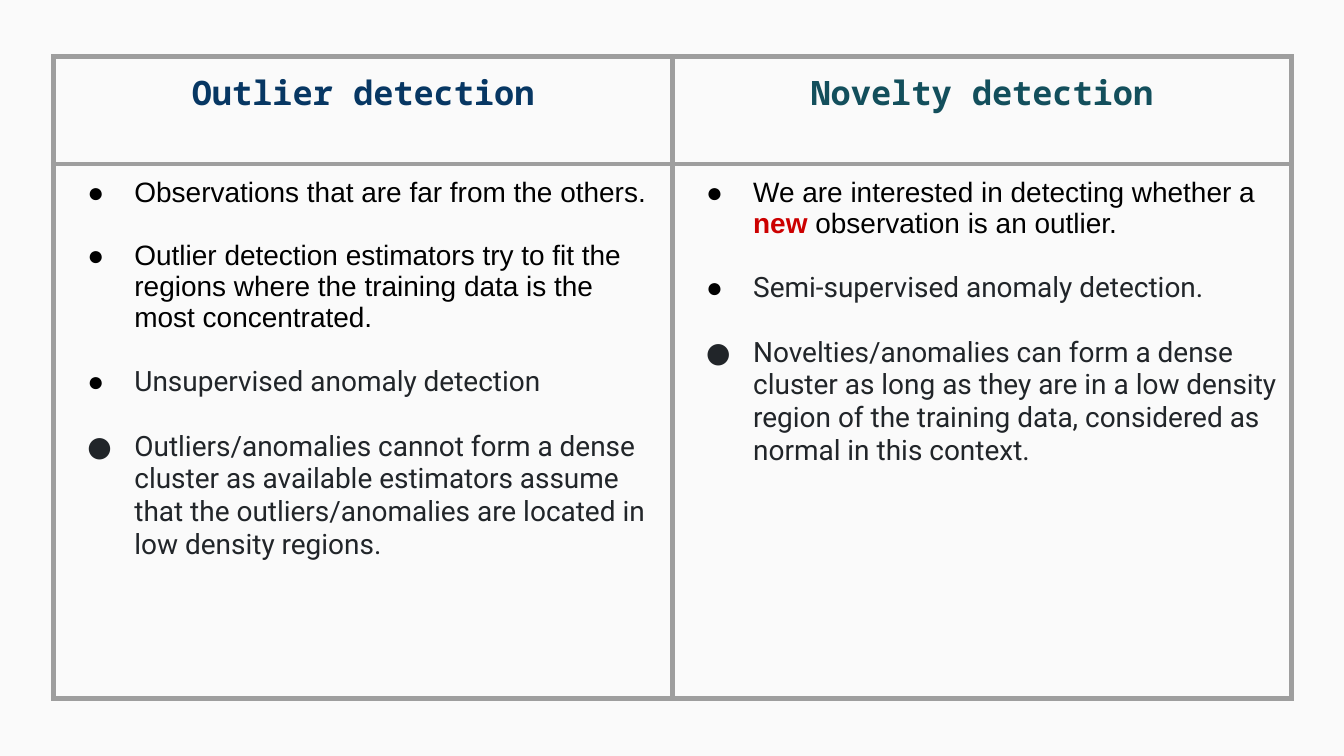
from lxml.etree import SubElement
from pptx import Presentation
from pptx.dml.color import RGBColor
from pptx.enum.text import PP_ALIGN
from pptx.oxml import parse_xml
from pptx.oxml.ns import nsdecls, qn
from pptx.util import Pt

BACKGROUND = RGBColor(0xFA, 0xFA, 0xFA)
GRID = RGBColor(0x9E, 0x9E, 0x9E)
NAVY = RGBColor(0x07, 0x37, 0x63)
TEAL = RGBColor(0x13, 0x4F, 0x5C)
BLACK = RGBColor(0x00, 0x00, 0x00)
CHARCOAL = RGBColor(0x21, 0x25, 0x29)
RED = RGBColor(0xCC, 0x00, 0x00)

# Each point: bullet colour, font, runs of (text, colour)
OUTLIER_POINTS = [
    (BLACK, "Arial", [("Observations that are far from the others.", BLACK)]),
    (BLACK, "Arial", [("Outlier detection estimators try to fit the regions where "
                       "the training data is the most concentrated.", BLACK)]),
    (BLACK, "Roboto", [("Unsupervised anomaly detection", CHARCOAL)]),
    (CHARCOAL, "Roboto", [("Outliers/anomalies cannot form a dense cluster as available "
                           "estimators assume that the outliers/anomalies are located in "
                           "low density regions.", CHARCOAL)]),
]
NOVELTY_POINTS = [
    (BLACK, "Arial", [("We are interested in detecting whether a ", BLACK),
                      ("new", RED),
                      (" observation is an outlier.", BLACK)]),
    (BLACK, "Roboto", [("Semi-supervised anomaly detection.", CHARCOAL)]),
    (CHARCOAL, "Roboto", [("Novelties/anomalies can form a dense cluster as long as they "
                           "are in a low density region of the training data, considered "
                           "as normal in this context.", CHARCOAL)]),
]
COLUMNS = [
    ("Outlier detection", NAVY, OUTLIER_POINTS),
    ("Novelty detection", TEAL, NOVELTY_POINTS),
]


def style_run(run, font, size, color, bold):
    run.font.name = font
    run.font.size = Pt(size)
    run.font.color.rgb = color
    run.font.bold = bold


def add_bullet(paragraph, color, font):
    """Give the paragraph a hanging round bullet."""
    properties = paragraph._p.get_or_add_pPr()
    properties.set("marL", str(Pt(36)))
    properties.set("indent", str(Pt(-25.2)))
    bullet_color = SubElement(properties, qn("a:buClr"))
    SubElement(bullet_color, qn("a:srgbClr"), val=str(color))
    SubElement(properties, qn("a:buFont"), typeface=font)
    SubElement(properties, qn("a:buChar"), char="●")


prs = Presentation()
prs.slide_width, prs.slide_height = Pt(720), Pt(405)
slide = prs.slides.add_slide(prs.slide_layouts[6])
slide.background.fill.solid()
slide.background.fill.fore_color.rgb = BACKGROUND

comparison = slide.shapes.add_table(2, 2, Pt(28.8), Pt(30.4), Pt(663), Pt(344)).table
comparison.first_row = False
comparison.horz_banding = False
for column in comparison.columns:
    column.width = Pt(331.5)
comparison.rows[0].height = Pt(57.5)
comparison.rows[1].height = Pt(286.5)

for cell in comparison.iter_cells():
    cell.margin_left = cell.margin_right = Pt(7.2)
    cell.margin_top = cell.margin_bottom = Pt(7.2)
    cell.fill.background()
    for position, side in enumerate(("lnL", "lnR", "lnT", "lnB")):
        border = parse_xml(
            f'<a:{side} {nsdecls("a")} w="{Pt(3)}"><a:solidFill>'
            f'<a:srgbClr val="{GRID}"/></a:solidFill></a:{side}>')
        cell._tc.get_or_add_tcPr().insert(position, border)

for index, (heading, heading_color, points) in enumerate(COLUMNS):
    heading_frame = comparison.cell(0, index).text_frame
    heading_frame.text = heading
    heading_line = heading_frame.paragraphs[0]
    heading_line.alignment = PP_ALIGN.CENTER
    style_run(heading_line.runs[0], "Noto Sans Mono", 18, heading_color, True)

    points_frame = comparison.cell(1, index).text_frame
    for number, (bullet_color, font, pieces) in enumerate(points):
        point = points_frame.add_paragraph() if number else points_frame.paragraphs[0]
        point.space_before = Pt(17 if number else 0)
        add_bullet(point, bullet_color, "Arial" if bullet_color == BLACK else font)
        for text, color in pieces:
            run = point.add_run()
            run.text = text
            style_run(run, font, 15, color, color == RED)

prs.save("out.pptx")
